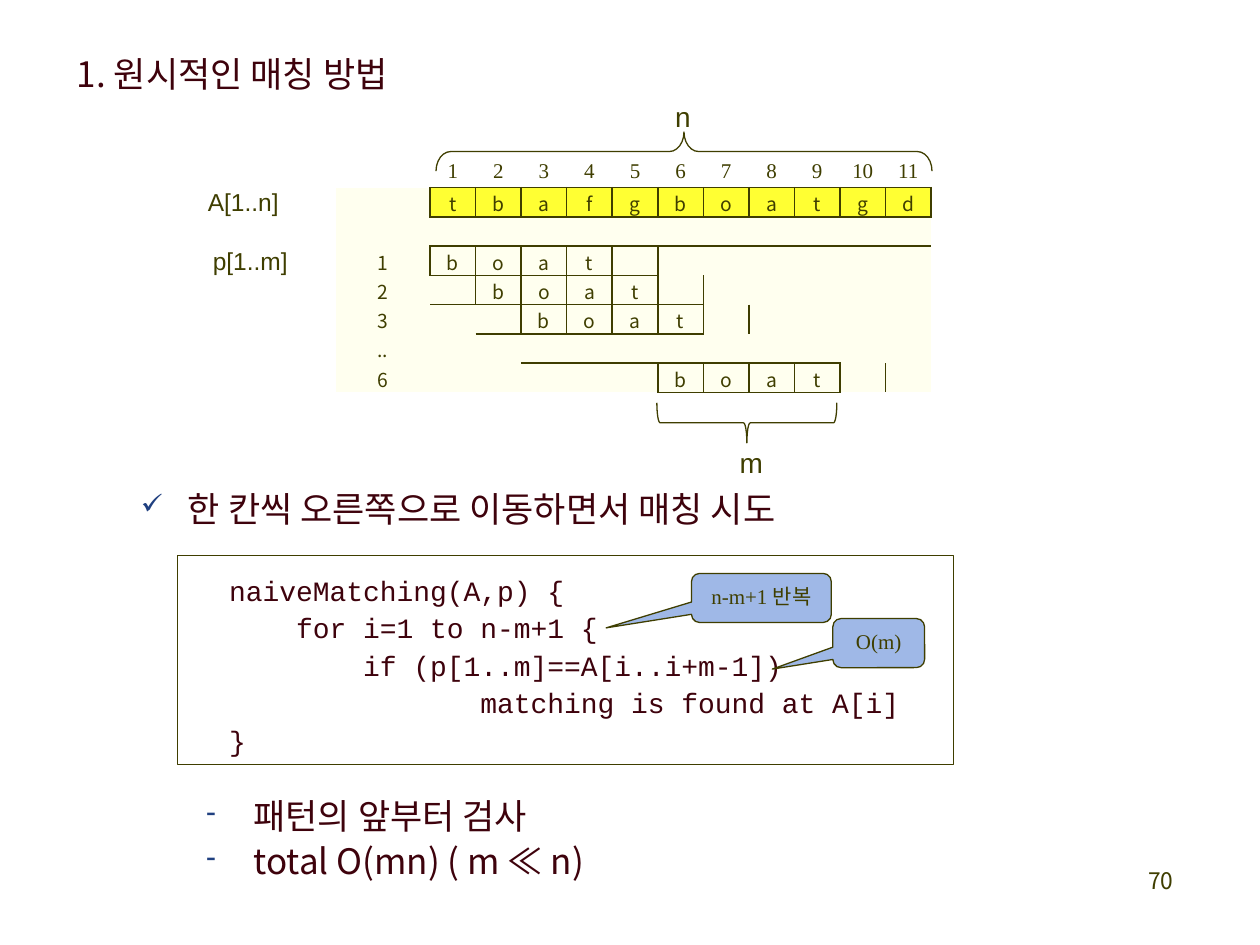
from dataclasses import dataclass

from lxml.etree import SubElement
from pptx import Presentation
from pptx.dml.color import RGBColor
from pptx.enum.shapes import MSO_SHAPE
from pptx.enum.text import MSO_ANCHOR, PP_ALIGN
from pptx.oxml.ns import qn
from pptx.util import Cm, Pt


@dataclass(frozen=True)
class Theme:
    olive: str = "3F3E00"
    maroon: str = "3E020C"
    bullet: str = "204080"
    ivory: str = "FFFFEF"
    yellow: str = "FFFF33"
    callout: str = "9FB8E7"
    korean: str = "Noto Sans CJK KR"
    sans: str = "Arial"
    serif: str = "Times New Roman"
    mono: str = "Courier New"
    heading: int = 20
    code: int = 16
    label: int = 14
    page: int = 13
    small: int = 12
    cell: int = 11
    line: float = 0.75
    border: float = 1


THEME = Theme()


@dataclass(frozen=True)
class Box:
    """A rectangle in centimetres."""
    left: float
    top: float
    width: float
    height: float

    def inside(self, left, top, width, height):
        return Box(self.left + left, self.top + top, width, height)

    def lengths(self):
        return Cm(self.left), Cm(self.top), Cm(self.width), Cm(self.height)


def color(value):
    return RGBColor.from_string(value)


def write(frame, text, *, size=THEME.heading, font=THEME.korean, ink=THEME.maroon,
          align=None, bullet=None, tabs=(), spacing=0.9):
    """Write one paragraph for each line of text."""
    for number, line in enumerate(text.split("\n")):
        paragraph = frame.add_paragraph() if number else frame.paragraphs[0]
        paragraph.line_spacing = spacing
        if number:
            paragraph.space_before = Pt(4.2)
        if align is not None:
            paragraph.alignment = align
        properties = paragraph._p.get_or_add_pPr()
        if bullet:
            properties.set("marL", str(Cm(0.95)))
            properties.set("indent", str(Cm(-0.95)))
            bullet_color = SubElement(properties, qn("a:buClr"))
            SubElement(bullet_color, qn("a:srgbClr"), val=THEME.bullet)
            SubElement(properties, qn("a:buSzPct"), val="80000")
            SubElement(properties, qn("a:buChar"), char=bullet)
        if tabs:
            tab_list = SubElement(properties, qn("a:tabLst"))
            for position in tabs:
                SubElement(tab_list, qn("a:tab"), pos=str(Cm(position)), algn="ctr")
        run = paragraph.add_run()
        run.text = line
        run.font.size = Pt(size)
        run.font.name = font
        run.font.color.rgb = color(ink)
        SubElement(run._r.get_or_add_rPr(), qn("a:ea"), typeface=THEME.korean)


def add_text(slide, box, text, wrap=True, **style):
    frame = slide.shapes.add_textbox(*box.lengths()).text_frame
    frame.word_wrap = wrap
    write(frame, text, **style)


def add_outline(slide, kind, box, fill=None):
    shape = slide.shapes.add_shape(kind, *box.lengths())
    shape.shadow.inherit = False
    if fill:
        shape.fill.solid()
        shape.fill.fore_color.rgb = color(fill)
    else:
        shape.fill.background()
    shape.line.color.rgb = color(THEME.olive)
    shape.line.width = Pt(THEME.line)
    return shape


def add_brace(slide, box, rotation, curve):
    """Lay a right brace on its side so that it spans the box."""
    upright = box.inside((box.width - box.height) / 2, (box.height - box.width) / 2,
                         box.height, box.width)
    brace = add_outline(slide, MSO_SHAPE.RIGHT_BRACE, upright)
    brace.rotation = rotation
    brace.adjustments[0] = curve


def add_callout(slide, box, text, pointer):
    callout = add_outline(slide, MSO_SHAPE.ROUNDED_RECTANGULAR_CALLOUT, box, THEME.callout)
    for index, value in enumerate((*pointer, 0.167)):
        callout.adjustments[index] = value
    callout.text_frame.vertical_anchor = MSO_ANCHOR.MIDDLE
    write(callout.text_frame, text, size=THEME.small, font=THEME.serif,
          ink=THEME.olive, align=PP_ALIGN.CENTER)


def add_matching_table(slide, box, text, pattern, label_width):
    """Show the text in the first row and the shifted pattern below it."""
    letters = {(0, column): letter for column, letter in enumerate(text, 1)}
    labels = {5: ".."}
    for row, shift in {2: 1, 3: 2, 4: 3, 6: 6}.items():
        labels[row] = str(shift)
        letters.update({(row, shift + i): letter for i, letter in enumerate(pattern)})

    row_count, column_count = 7, len(text) + 1
    table = slide.shapes.add_table(row_count, column_count, *box.lengths()).table
    table.first_row = table.horz_banding = False
    # "No Style, No Grid"
    table._tbl.tblPr.find(qn("a:tableStyleId")).text = "{2D5ABB26-0587-4C30-8999-92F81FD0307C}"
    for index, column in enumerate(table.columns):
        column.width = Cm((box.width - label_width) / len(text) if index else label_width)
    for row in table.rows:
        row.height = Cm(box.height / row_count)

    sides = {"a:lnL": (0, -1), "a:lnR": (0, 1), "a:lnT": (-1, 0), "a:lnB": (1, 0)}
    for row in range(row_count):
        for column in range(column_count):
            cell = table.cell(row, column)
            cell.margin_left = cell.margin_right = cell.margin_top = Cm(0.03)
            cell.margin_bottom = 0
            cell.vertical_anchor = MSO_ANCHOR.MIDDLE
            # An edge is drawn where a letter stands on either side of it
            for tag, (down, across) in sides.items():
                if (row, column) in letters or (row + down, column + across) in letters:
                    line = SubElement(cell._tc.get_or_add_tcPr(), qn(tag),
                                      w=str(Pt(THEME.border)))
                    fill = SubElement(line, qn("a:solidFill"))
                    SubElement(fill, qn("a:srgbClr"), val=THEME.olive)
            cell.fill.solid()
            cell.fill.fore_color.rgb = color(THEME.ivory if row or not column else THEME.yellow)
            content = letters.get((row, column)) or (labels.get(row) if column == 0 else None)
            if content:
                write(cell.text_frame, content, size=THEME.cell, ink=THEME.olive,
                      align=PP_ALIGN.CENTER, spacing=1.0)
            else:
                SubElement(cell.text_frame.paragraphs[0]._p, qn("a:endParaRPr"),
                           sz=str(THEME.cell * 100))


def add_diagram(slide, box):
    text, pattern = "tbafgboatgd", "boat"
    label_width = 1.9
    grid = box.inside(2.83, 1.82, 12, 4.13)
    add_matching_table(slide, grid, text, pattern, label_width)

    # Names of the arrays and of their lengths
    for name, left, top, width, size in (("A[1..n]", 0, 1.75, 1.96, THEME.label),
                                         ("p[1..m]", 0.1, 2.94, 2.03, THEME.label),
                                         ("n", 9.42, 0, 0.84, THEME.code),
                                         ("m", 10.72, 6.98, 0.99, THEME.code)):
        add_text(slide, box.inside(left, top, width, 0.8), name, wrap=False,
                 size=size, font=THEME.sans, ink=THEME.olive)
    add_brace(slide, box.inside(4.85, 0.7, 10, 0.79), 270, 0.375)
    add_brace(slide, box.inside(9.3, 6.16, 3.63, 0.81), 90, 0.083)

    # Positions, centred over the columns
    pitch = (grid.width - label_width) / len(text)
    inset = 0.25
    indexes = grid.inside(label_width, -0.68, grid.width - label_width + 0.5, 0.71)
    add_text(slide, indexes, "".join(f"\t{i}" for i in range(1, len(text) + 1)),
             size=THEME.small, font=THEME.serif, ink=THEME.olive,
             tabs=[pitch * (i + 0.5) - inset for i in range(len(text))])


def add_code(slide, box):
    add_outline(slide, MSO_SHAPE.RECTANGLE, box)
    code = """naiveMatching(A,p) {
    for i=1 to n-m+1 {
        if (p[1..m]==A[i..i+m-1])
               matching is found at A[i]
}"""
    add_text(slide, box.inside(0.79, 0.31, 14.3, 3.89), code, size=THEME.code, font=THEME.mono)
    add_callout(slide, box.inside(10.36, 0.36, 2.82, 0.99), "n-m+1 반복", (-1.11, 0.61))
    add_callout(slide, box.inside(13.21, 1.27, 1.85, 0.99), "O(m)", (-1.16, 0.53))


def main():
    presentation = Presentation()
    presentation.slide_width, presentation.slide_height = Cm(25.4), Cm(19.05)
    slide = presentation.slides.add_slide(presentation.slide_layouts[6])

    # Heading, diagram, method, code, remarks and page number
    add_text(slide, Box(1.3, 1.02, 7.8, 1.04), "1. 원시적인 매칭 방법")
    add_diagram(slide, Box(3.94, 1.96, 15.3, 7.85))
    add_text(slide, Box(2.59, 9.8, 14.83, 1.02), "한 칸씩 오른쪽으로 이동하면서 매칭 시도", bullet="✓")
    add_code(slide, Box(3.58, 11.2, 15.65, 4.22))
    add_text(slide, Box(3.91, 15.98, 8.36, 1.96), "패턴의 앞부터 검사\ntotal O(mn) ( m ≪ n)", bullet="-")
    add_text(slide, Box(18.62, 17.35, 5.28, 1.27), "70", size=THEME.page,
             ink=THEME.olive, align=PP_ALIGN.RIGHT, spacing=1.0)

    presentation.save("out.pptx")


if __name__ == "__main__":
    main()
